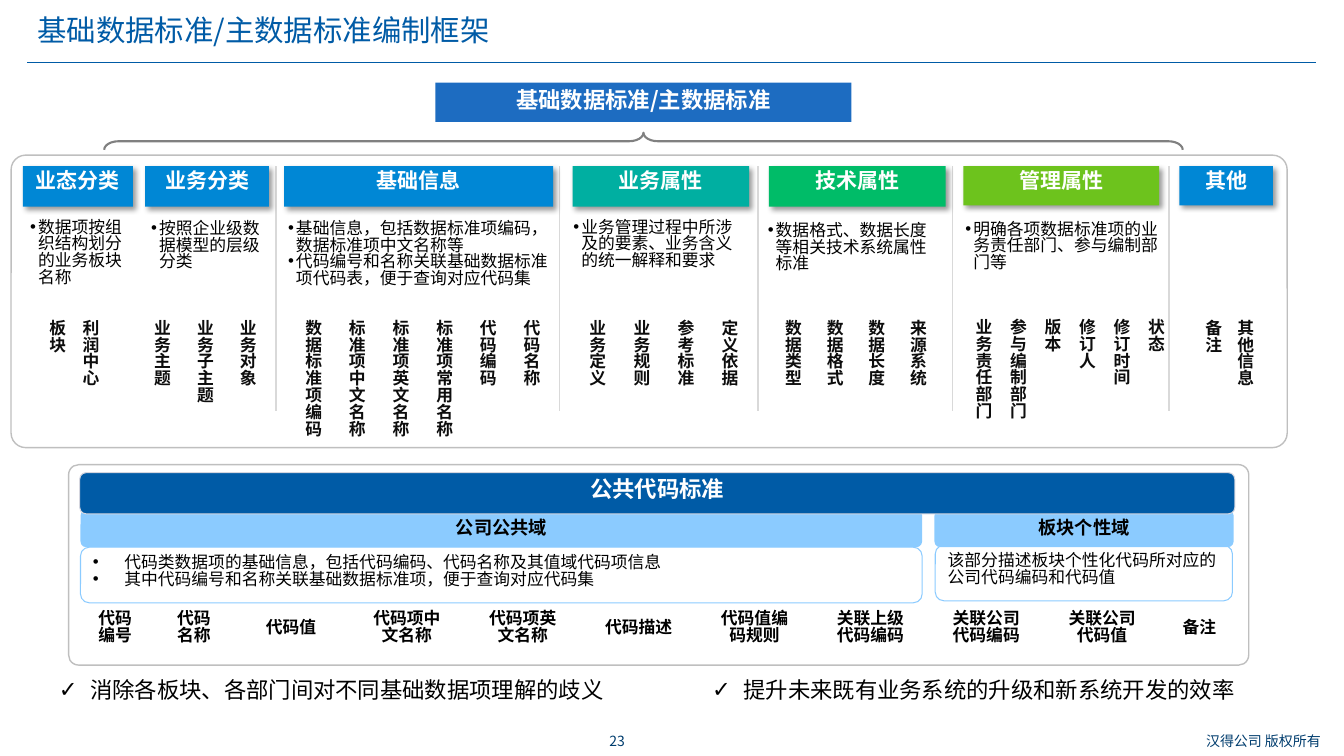
import pptx
import pptx.util
import pptx.dml.color
import pptx.enum.shapes
import pptx.enum.text
import pptx.oxml
import pptx.oxml.ns
import lxml.etree

Cm = pptx.util.Cm
Pt = pptx.util.Pt
RGBColor = pptx.dml.color.RGBColor
Kind = pptx.enum.shapes.MSO_SHAPE
Align = pptx.enum.text.PP_ALIGN
Anchor = pptx.enum.text.MSO_ANCHOR
qn = pptx.oxml.ns.qn

FONT = "Noto Sans CJK SC"
WHITE = RGBColor(0xFF, 0xFF, 0xFF)
BLACK = RGBColor(0, 0, 0)
INK = RGBColor(0x0D, 0x0D, 0x0D)
NAVY = RGBColor(0x00, 0x3D, 0x6E)
DEEP = RGBColor(0x00, 0x5B, 0xA6)
ROYAL = RGBColor(0x1D, 0x6C, 0xC1)
BLUE = RGBColor(0x00, 0x87, 0xD5)
TEAL = RGBColor(0x00, 0xAF, 0xA1)
GREEN = RGBColor(0x00, 0xBC, 0x68)
LIME = RGBColor(0x6D, 0xC3, 0x1D)
SKY = RGBColor(0x8B, 0xCB, 0xFF)
PALE = RGBColor(0xD5, 0xD6, 0xDF)
LIGHT = RGBColor(0xD9, 0xD9, 0xD9)
SILVER = RGBColor(0xBF, 0xBF, 0xBF)
GRAY = RGBColor(0x80, 0x80, 0x80)
SHADOW = (
    '<a:effectLst xmlns:a="http://schemas.openxmlformats.org/drawingml/2006/main">'
    '<a:outerShdw blurRad="50800" dist="38100" dir="2700000" algn="tl">'
    '<a:srgbClr val="000000"><a:alpha val="40000"/></a:srgbClr>'
    '</a:outerShdw></a:effectLst>'
)

deck = pptx.Presentation()
deck.slide_width, deck.slide_height = Cm(33.87), Cm(19.05)
slide = deck.slides.add_slide(deck.slide_layouts[5])
shapes = slide.shapes


def write(shape, text, size=12, color=BLACK, bold=False, align=Align.LEFT,
          anchor=Anchor.TOP, bullet=None, hang=0, spacing=0.83, upright=False):
    frame = shape.text_frame
    frame.word_wrap = True
    frame.auto_size = pptx.enum.text.MSO_AUTO_SIZE.NONE
    frame.vertical_anchor = anchor
    frame.margin_left = frame.margin_right = Cm(0.25)
    frame.margin_top = frame.margin_bottom = Cm(0.13)
    if upright:
        shape.element.txBody.bodyPr.set("vert", "eaVert")
    for i, part in enumerate(text.split("\n")):
        para = frame.paragraphs[0] if i == 0 else frame.add_paragraph()
        if bullet:
            props = para._p.get_or_add_pPr()
            props.set("marL", str(Cm(hang)))
            props.set("indent", str(-Cm(hang)))
            lxml.etree.SubElement(props, qn("a:buFont")).set("typeface", "Arial")
            lxml.etree.SubElement(props, qn("a:buChar")).set("char", bullet)
        para.alignment = align
        para.line_spacing = spacing
        run = para.add_run()
        run.text = part
        run.font.size, run.font.bold = Pt(size), bold
        run.font.color.rgb = color
        run.font.name = FONT
        east = lxml.etree.SubElement(run.font._element, qn("a:ea"))
        east.set("typeface", FONT)


def draw(kind, left, top, width, height, fill=None, line=None, weight=0.75, adjust=()):
    shape = shapes.add_shape(kind, Cm(left), Cm(top), Cm(width), Cm(height))
    shape.shadow.inherit = False
    if fill is None:
        shape.fill.background()
    else:
        shape.fill.solid()
        shape.fill.fore_color.rgb = fill
    if line is None:
        shape.line.fill.background()
    else:
        shape.line.color.rgb = line
        shape.line.width = Pt(weight)
    for i, value in enumerate(adjust):
        shape.adjustments[i] = value
    return shape


# Title and footer
title = shapes.title
title.left, title.top, title.width, title.height = Cm(0.69), Cm(0.38), Cm(29.39), Cm(1.07)
write(title, "基础数据标准/主数据标准编制框架", size=21, color=DEEP, spacing=0.75)
for text, left, width in [("23", 14.66, 1.78), ("汉得公司 版权所有", 29.82, 4.04)]:
    box = shapes.add_textbox(Cm(left), Cm(18.36), Cm(width), Cm(0.69))
    write(box, text, size=10, color=NAVY, align=Align.CENTER, anchor=Anchor.MIDDLE)

# Title rule and column dividers
rules = [(0.69, 1.57, 33.17, 1.57, DEEP, 0.75)]
rules += [(x, 4.19, x, 10.36, LIGHT, 1) for x in (6.96, 14.1, 19.1, 24, 29.46)]
for x1, y1, x2, y2, color, weight in rules:
    rule = shapes.add_connector(pptx.enum.shapes.MSO_CONNECTOR.STRAIGHT,
                                Cm(x1), Cm(y1), Cm(x2), Cm(y2))
    rule.line.color.rgb = color
    rule.line.width = Pt(weight)
    lxml.etree.SubElement(rule.element.spPr, qn("a:effectLst"))

# Top heading and brace
head = draw(Kind.RECTANGLE, 10.97, 2.08, 10.49, 0.99, fill=ROYAL)
write(head, "基础数据标准/主数据标准", size=16, color=WHITE, bold=True,
      align=Align.CENTER, anchor=Anchor.MIDDLE)
brace = draw(Kind.LEFT_BRACE, 16, -10.03, 0.43, 27.18, line=GRAY, weight=1.5,
             adjust=(0.844, 0.5))
brace.rotation = 90

# Column cards: name, left, width, height, fill
cards = [
    ("业态分类", 0.58, 2.77, 1.02, BLUE),
    ("业务分类", 3.66, 3.12, 1.02, BLUE),
    ("基础信息", 7.16, 6.78, 1.02, BLUE),
    ("业务属性", 14.43, 4.45, 1.02, TEAL),
    ("技术属性", 19.38, 4.45, 1.02, GREEN),
    ("管理属性", 24.28, 4.93, 0.99, LIME),
    ("其他", 29.72, 2.36, 0.99, BLUE),
]
for name, left, width, height, fill in cards:
    card = draw(Kind.RECTANGLE, left, 4.19, width, height, fill=fill)
    props = card.element.spPr
    props.replace(props.find(qn("a:effectLst")), pptx.oxml.parse_xml(SHADOW))
    write(card, name, size=15, color=WHITE, bold=True, align=Align.CENTER)

# Column notes: text, left, top, width, height
notes = [
    ("数据项按组织结构划分的业务板块名称", 0.51, 5.41, 2.87, 2.31),
    ("按照企业级数据模型的层级分类", 3.56, 5.44, 3.4, 1.8),
    ("基础信息，包括数据标准项编码，数据标准项中文名称等\n"
     "代码编号和名称关联基础数据标准项代码表，便于查询对应代码集", 7.01, 5.44, 7.19, 2.31),
    ("业务管理过程中所涉及的要素、业务含义的统一解释和要求", 14.2, 5.41, 4.78, 1.8),
    ("数据格式、数据长度等相关技术系统属性标准", 19.1, 5.49, 4.9, 1.8),
    ("明确各项数据标准项的业务责任部门、参与编制部门等", 24.08, 5.46, 5.54, 1.8),
]
for text, left, top, width, height in notes:
    box = shapes.add_textbox(Cm(left), Cm(top), Cm(width), Cm(height))
    write(box, text, bullet="•", hang=0.2)

# Upright items: names, first left, step, top, height
items = [
    ("板块 利润中心", 0.84, 0.84, 7.92, 3.4),
    ("业务主题 业务子主题 业务对象", 3.48, 1.08, 7.92, 3.4),
    ("数据标准项编码 标准项中文名称 标准项英文名称 标准项常用名称 代码编码 代码名称",
     7.29, 1.1, 7.92, 4.37),
    ("业务定义 业务规则 参考标准 定义依据", 14.45, 1.11, 7.92, 3.4),
    ("数据类型 数据格式 数据长度 来源系统", 19.38, 1.05, 7.92, 3.4),
    ("业务责任部门 参与编制部门 版本 修订人 修订时间 状态", 24.18, 0.87, 7.9, 3.4),
    ("备注 其他信息", 29.97, 0.81, 7.92, 3.4),
]
short = {"利润中心": 2.34, "业务主题": 2.92, "业务子主题": 3.12, "业务对象": 2.59,
         "数据标准项编码": 3.68, "业务定义": 2.74}
for names, left, step, top, height in items:
    for i, name in enumerate(names.split()):
        box = shapes.add_textbox(Cm(left + i * step), Cm(top), Cm(1.02),
                                 Cm(short.get(name, height)))
        write(box, name, color=INK, bold=True, upright=True)

# Public code domains
about = draw(Kind.ROUNDED_RECTANGLE, 2.03, 13.79, 21.21, 1.4, line=SKY, adjust=(0.157,))
write(about, "代码类数据项的基础信息，包括代码编码、代码名称及其值域代码项信息\n"
      "其中代码编号和名称关联基础数据标准项，便于查询对应代码集", bullet="•", hang=0.79)
about = draw(Kind.ROUNDED_RECTANGLE, 23.57, 13.74, 7.49, 1.4, line=SKY, adjust=(0.157,))
write(about, "该部分描述板块个性化代码所对应的公司代码编码和代码值")
for name, left, width in [("公司公共域", 2.03, 21.21), ("板块个性域", 23.55, 7.54)]:
    bar = draw(Kind.ROUNDED_RECTANGLE, left, 12.85, width, 0.94, fill=SKY, adjust=(0.157,))
    write(bar, name, size=13, bold=True, align=Align.CENTER, anchor=Anchor.MIDDLE)
bar = draw(Kind.ROUNDED_RECTANGLE, 2.01, 11.91, 29.11, 1.04, fill=DEEP, line=PALE,
           adjust=(0.157,))
write(bar, "公共代码标准", size=16, color=WHITE, bold=True, align=Align.CENTER)

# Code fields, left to right with an equal gap
fields = ("代码编号 代码名称 代码值 代码项中文名称 代码项英文名称 代码描述 "
          "代码值编码规则 关联上级代码编码 关联公司代码编码 关联公司代码值 备注").split()
left = 2.08
for name in fields:
    width = 1.65 if name in ("代码编号", "代码名称", "备注") else 2.59
    box = shapes.add_textbox(Cm(left), Cm(15.27), Cm(width), Cm(1.12))
    write(box, name, bold=True, align=Align.CENTER, anchor=Anchor.MIDDLE)
    left += width + 0.33

# Benefits
claims = [("消除各板块、各部门间对不同基础数据项理解的歧义", 0.33),
          ("提升未来既有业务系统的升级和新系统开发的效率", 16.51)]
for text, left in claims:
    box = shapes.add_textbox(Cm(left), Cm(17.04), Cm(16.05), Cm(0.81))
    write(box, text, size=16, align=Align.CENTER, anchor=Anchor.MIDDLE,
          bullet="✓", hang=0.79)

# Panel outlines
for place in [(0.28, 3.91, 32.16, 7.37), (1.73, 11.71, 29.74, 5.05)]:
    draw(Kind.ROUNDED_RECTANGLE, *place, line=SILVER, weight=1, adjust=(0.05,))

deck.save("out.pptx")
